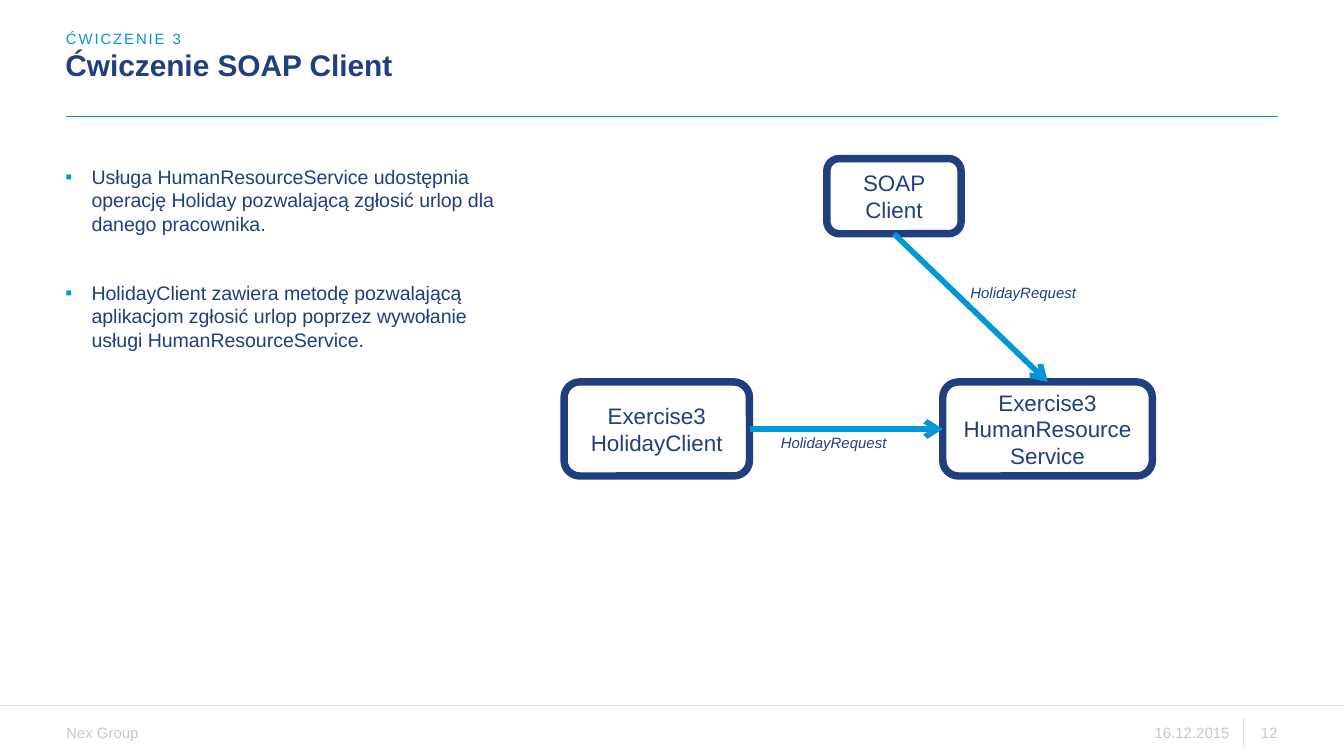
from lxml import etree
from pptx import Presentation
from pptx import util as u
from pptx.dml.color import RGBColor
from pptx.enum import shapes, text
from pptx.oxml import ns

COLORS = {"navy": "213E7F", "cyan": "0097D9", "rule": "DCDCDC", "footer": "C8C8C8", "white": "FFFFFF"}
RGB = {name: RGBColor.from_string(value) for name, value in COLORS.items()}
LEFT, CENTER, RIGHT = text.PP_ALIGN.LEFT, text.PP_ALIGN.CENTER, text.PP_ALIGN.RIGHT
TOP, MIDDLE, BOTTOM = text.MSO_ANCHOR.TOP, text.MSO_ANCHOR.MIDDLE, text.MSO_ANCHOR.BOTTOM

# A 16:9 slide on a square grid: 100 columns across, 56.25 rows down
presentation = Presentation()
presentation.slide_width = u.Inches(10)
presentation.slide_height = presentation.slide_width * 9 // 16
slide = presentation.slides.add_slide(presentation.slide_layouts[6])
CELL = presentation.slide_width / 100


def grid(*cells):
    return [round(cell * CELL) for cell in cells]


def fill_text(shape, lines, size, color="navy", align=LEFT, anchor=TOP, margin=0, wrap=True, **font):
    """Write one paragraph per line into the shape and return the paragraphs."""
    frame = shape.text_frame
    frame.text = "\n".join(lines)
    frame_format = {"word_wrap": wrap, "vertical_anchor": anchor}
    frame_format.update({f"margin_{side}": round(margin * CELL) for side in ("left", "top", "right", "bottom")})
    for name, value in frame_format.items():
        setattr(frame, name, value)
    for paragraph in frame.paragraphs:
        paragraph.alignment = align
        run_font = paragraph.runs[0].font
        for name, value in {"name": "Arial", "size": u.Pt(size), **font}.items():
            setattr(run_font, name, value)
        run_font.color.rgb = RGB[color]
    return frame.paragraphs


# Rules of the page: under the heading, above the footer, before the page number
rules = [
    ((4.9, 8.65, 95.1, 8.65), "cyan"),
    ((-0.3, 52.5, 100.3, 52.5), "rule"),
    ((92.5, 55.6, 92.5, 53.4), "rule"),
]
connectors = []
for ends, color in rules:
    rule = slide.shapes.add_connector(shapes.MSO_CONNECTOR.STRAIGHT, *grid(*ends))
    connectors.append((rule, color, 0.75))

# Heading, footer and arrow labels
footer = {"size": 8, "color": "footer", "anchor": MIDDLE, "wrap": False}
label = {"size": 8, "italic": True}
captions = {}
for caption, area, style in [
    ("Nex Group", (4.93, 53.85, 5.7, 1.3), footer),
    ("16.12.2015", (85.8, 53.85, 5.7, 1.3), {**footer, "align": RIGHT}),
    ("12", (92.85, 53.85, 2.2, 1.3), {**footer, "align": RIGHT}),
    ("Ćwiczenie SOAP Client", (4.87, 3.8, 73.2, 2.4), {"size": 16, "bold": True}),
    ("ĆWICZENIE 3", (4.9, 2.2, 73.2, 1.3), {"size": 8, "color": "cyan", "anchor": BOTTOM}),
    ("HolidayRequest", (58.1, 32.25, 8.4, 1.3), label),
    ("HolidayRequest", (72.2, 21.1, 8.4, 1.3), label),
]:
    captions[caption] = fill_text(slide.shapes.add_textbox(*grid(*area)), [caption], **style)[0]
captions["Ćwiczenie SOAP Client"].line_spacing = u.Pt(17)
captions["ĆWICZENIE 3"].runs[0].font._element.set("spc", "100")

# Bulleted description
body = slide.shapes.add_textbox(*grid(4.87, 12.25, 32.7, 36.8))
bullets = fill_text(body, [
    "Usługa HumanResourceService udostępnia operację Holiday pozwalającą zgłosić urlop dla danego pracownika.",
    "HolidayClient zawiera metodę pozwalającą aplikacjom zgłosić urlop poprzez wywołanie usługi HumanResourceService.",
], 10.5)
bullets[1].space_before = u.Pt(24.5)
indent = round(1.95 * CELL)
for paragraph in bullets:
    properties = paragraph._p.get_or_add_pPr()
    properties.set("marL", str(indent))
    properties.set("indent", str(-indent))
    bullet_color = etree.SubElement(properties, ns.qn("a:buClr"))
    etree.SubElement(bullet_color, ns.qn("a:srgbClr"), val=COLORS["cyan"])
    etree.SubElement(properties, ns.qn("a:buFont"), typeface="Arial")
    etree.SubElement(properties, ns.qn("a:buChar"), char="▪")

# Components of the diagram
nodes = {}
for name, area, lines in [
    ("service", (70.15, 28.42, 15.6, 7), ["Exercise3", "HumanResourceService"]),
    ("holiday client", (41.97, 28.42, 13.8, 7), ["Exercise3", "HolidayClient"]),
    ("soap client", (61.52, 11.8, 10, 5.6), ["SOAP Client"]),
]:
    node = slide.shapes.add_shape(shapes.MSO_SHAPE.ROUNDED_RECTANGLE, *grid(*area))
    node.shadow.inherit = False
    node.fill.solid()
    node.fill.fore_color.rgb = RGB["white"]
    node.line.color.rgb = RGB["navy"]
    node.line.width = u.Pt(4)
    fill_text(node, lines, 12, align=CENTER, anchor=MIDDLE, margin=1.2)
    nodes[name] = node

# Requests, glued to the sides of the components
SIDE_TOP, SIDE_LEFT, SIDE_BOTTOM, SIDE_RIGHT = range(4)
arrows = []
for source, source_side, target_side in [
    ("holiday client", SIDE_RIGHT, SIDE_LEFT),
    ("soap client", SIDE_BOTTOM, SIDE_TOP),
]:
    arrow = slide.shapes.add_connector(shapes.MSO_CONNECTOR.STRAIGHT, 0, 0, 0, 0)
    arrow.begin_connect(nodes[source], source_side)
    arrow.end_connect(nodes["service"], target_side)
    arrows.append(arrow)
    connectors.append((arrow, "cyan", 3))

for connector, color, width in connectors:
    connector.line.color.rgb = RGB[color]
    connector.line.width = u.Pt(width)
    etree.SubElement(connector._element.spPr, ns.qn("a:effectLst"))
for arrow in arrows:
    etree.SubElement(arrow.line._get_or_add_ln(), ns.qn("a:tailEnd"), type="arrow")

presentation.save("out.pptx")
